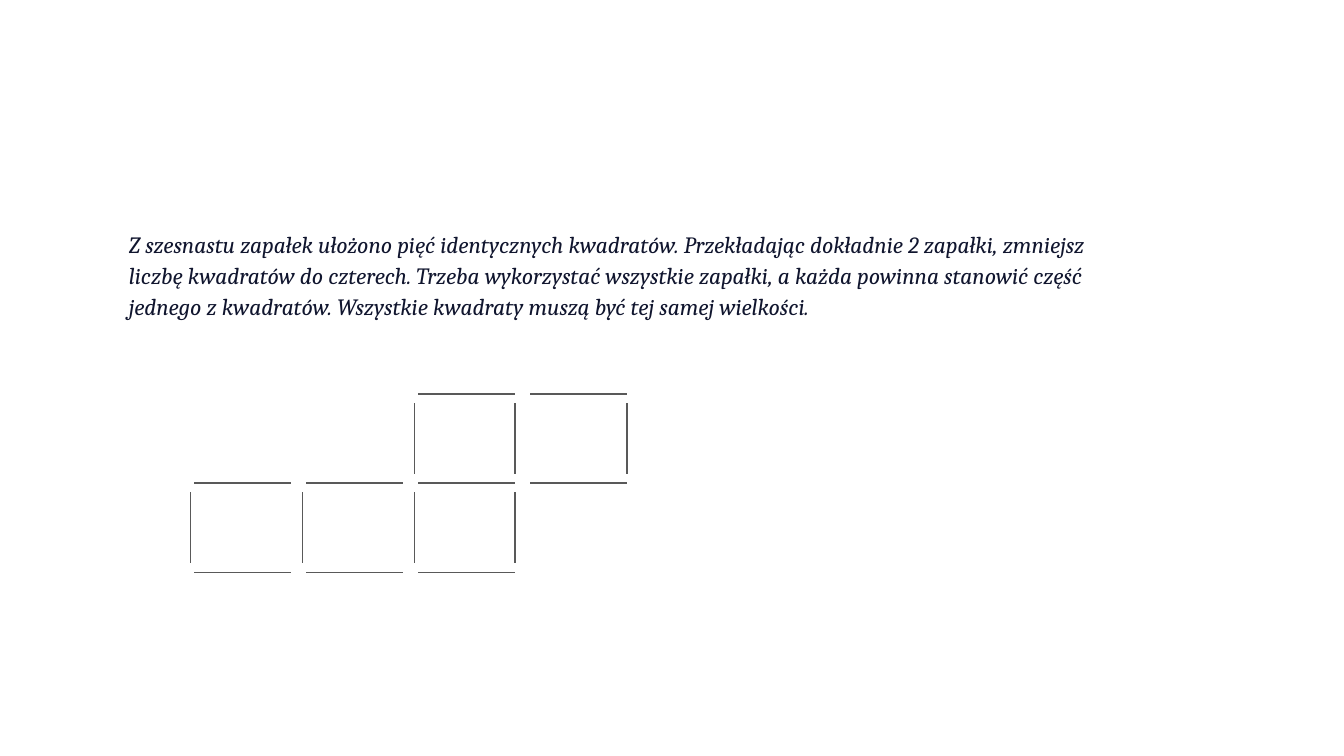
from dataclasses import dataclass

from lxml import etree
from pptx import Presentation
from pptx.dml.color import RGBColor
from pptx.enum.shapes import MSO_CONNECTOR
from pptx.enum.text import MSO_ANCHOR
from pptx.oxml.ns import qn
from pptx.util import Pt

STRAIGHT = MSO_CONNECTOR.STRAIGHT
TOP = MSO_ANCHOR.TOP


@dataclass(frozen=True)
class Theme:
    font: str = "Cambria"
    text_size: float = 12.5
    text_color: RGBColor = RGBColor(0x10, 0x15, 0x2E)
    match_color: RGBColor = RGBColor(0x59, 0x59, 0x59)
    match_width: float = 0.75


THEME = Theme()

RIDDLE = (
    "Z szesnastu zapałek ułożono pięć identycznych kwadratów. "
    "Przekładając dokładnie 2 zapałki, zmniejsz liczbę kwadratów do czterech. "
    "Trzeba wykorzystać wszystkie zapałki, a każda powinna stanowić część "
    "jednego z kwadratów. Wszystkie kwadraty muszą być tej samej wielkości."
)

# Columns that hold a horizontal match, for each grid line from the top
HORIZONTAL_MATCHES = [(2, 3), (0, 1, 2, 3), (0, 1, 2)]
# Columns with a match on the left side, and the column closed on the right
LEFT_MATCHES = [(2,), (0, 1, 2)]
RIGHT_MATCHES = [(2, 3), (2,)]


def set_attributes(target, values):
    for name, value in values.items():
        setattr(target, name, value)


def add_riddle(slide, left, top, width, height):
    text_box = slide.shapes.add_textbox(Pt(left), Pt(top), Pt(width), Pt(height))
    frame = text_box.text_frame
    margins = {f"margin_{side}": Pt(7.2) for side in ("left", "top", "right", "bottom")}
    set_attributes(frame, {"word_wrap": True, "vertical_anchor": TOP, **margins})
    paragraph = frame.paragraphs[0]
    paragraph.line_spacing = 1.11
    run = paragraph.add_run()
    run.text = RIDDLE
    set_attributes(run.font, {
        "name": THEME.font, "size": Pt(THEME.text_size), "italic": True,
    })
    run.font.color.rgb = THEME.text_color


def add_match(slide, x, y, width=0, height=0):
    match = slide.shapes.add_connector(
        STRAIGHT, Pt(x), Pt(y), Pt(x + width), Pt(y + height))
    match.line.color.rgb = THEME.match_color
    match.line.width = Pt(THEME.match_width)
    etree.SubElement(match._element.spPr, qn("a:effectLst"))


def add_match_squares(slide, left, top, width, height):
    column_gap = 6
    column_step = (width + column_gap) / 4
    row_step = height / 2
    side = column_step - column_gap
    inset_x, inset_y = 2, 5

    # Horizontal matches
    for row, columns in enumerate(HORIZONTAL_MATCHES):
        for column in columns:
            add_match(slide, left + column * column_step + inset_x,
                      top + row * row_step, width=side - inset_x)

    # Vertical matches
    for offset, rows in ((0, LEFT_MATCHES), (side, RIGHT_MATCHES)):
        for row, columns in enumerate(rows):
            for column in columns:
                add_match(slide, left + column * column_step + offset,
                          top + row * row_step + inset_y,
                          height=row_step - 2 * inset_y)


def main():
    presentation = Presentation()
    presentation.slide_width = Pt(720)
    presentation.slide_height = Pt(405)
    slide = presentation.slides.add_slide(presentation.slide_layouts[6])
    add_riddle(slide, 62, 114.5, 545, 80)
    add_match_squares(slide, 102, 211, 234, 95.6)
    presentation.save("out.pptx")


if __name__ == "__main__":
    main()
